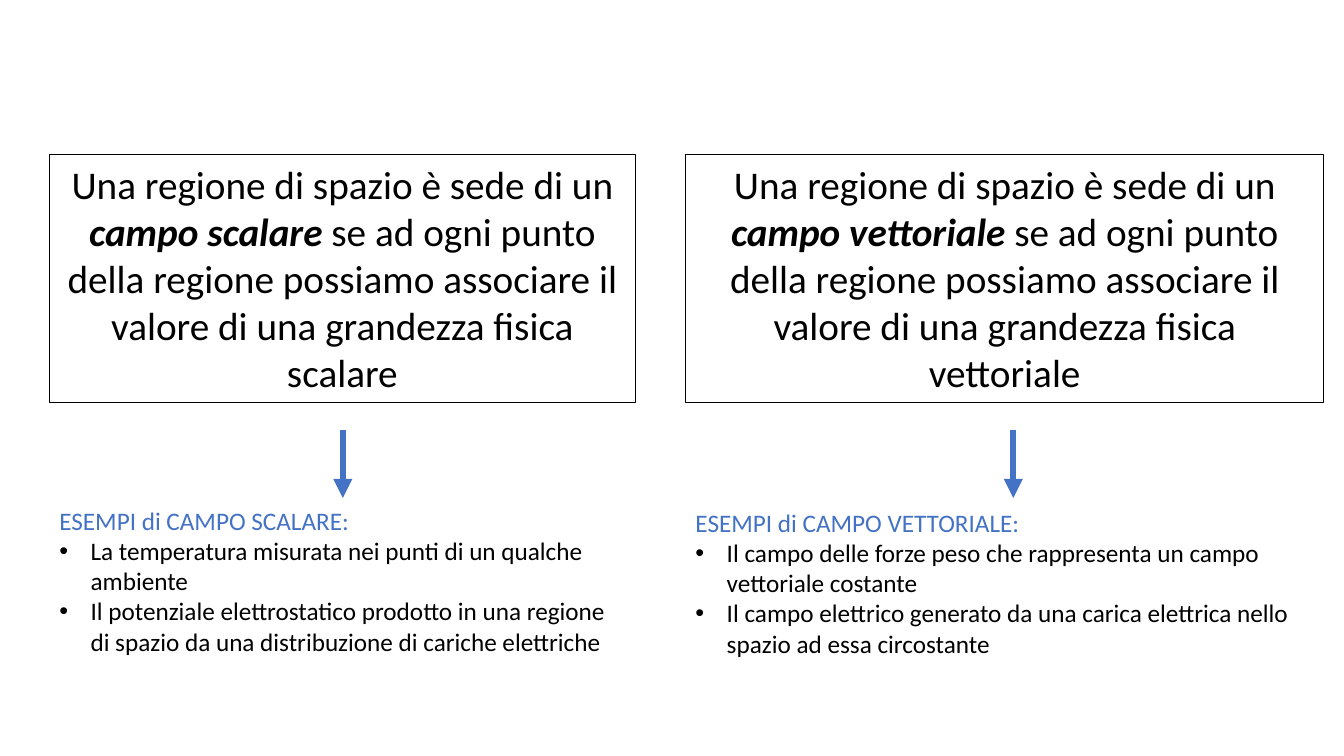
from lxml import etree
from pptx import Presentation
from pptx.dml.color import RGBColor
from pptx.enum.shapes import MSO_CONNECTOR, MSO_SHAPE
from pptx.enum.text import MSO_ANCHOR, PP_ALIGN
from pptx.oxml.ns import qn
from pptx.util import Inches, Pt

BLACK = RGBColor(0x00, 0x00, 0x00)
BLUE = RGBColor(0x44, 0x72, 0xC4)
FONT = "Calibri"
RECT = MSO_SHAPE.RECTANGLE
LINE = MSO_CONNECTOR.STRAIGHT
CENTER = PP_ALIGN.CENTER
MIDDLE = MSO_ANCHOR.MIDDLE


def style(run, size, color):
    run.font.name = FONT
    run.font.size = Pt(size)
    run.font.color.rgb = color


deck = Presentation()
deck.slide_width = Inches(13.33)
deck.slide_height = Inches(7.5)
slide = deck.slides.add_slide(deck.slide_layouts[6])
shapes = slide.shapes

# Kind of field, left, width, arrow x, top of examples, examples
fields = [
    ("scalare", 0.49, 5.81, 3.4, 4.96, [
        "La temperatura misurata nei punti di un qualche ambiente",
        "Il potenziale elettrostatico prodotto in una regione di spazio "
        "da una distribuzione di cariche elettriche"]),
    ("vettoriale", 6.8, 6.33, 10.05, 4.98, [
        "Il campo delle forze peso che rappresenta un campo vettoriale costante",
        "Il campo elettrico generato da una carica elettrica nello spazio "
        "ad essa circostante"]),
]

for kind, left, width, mid, top, items in fields:
    # Definition in a frame
    box = shapes.add_shape(RECT, Inches(left), Inches(1.53), Inches(width), Inches(2.46))
    box.shadow.inherit = False
    box.fill.background()
    box.line.color.rgb = BLACK
    box.line.width = Pt(0.75)
    frame = box.text_frame
    frame.word_wrap = True
    frame.vertical_anchor = MIDDLE
    para = frame.paragraphs[0]
    para.alignment = CENTER
    parts = [
        ("Una regione di spazio è sede di un ", False),
        (f"campo {kind} ", True),
        ("se ad ogni punto della regione possiamo associare il valore "
         f"di una grandezza fisica {kind}", False),
    ]
    for text, strong in parts:
        run = para.add_run()
        run.text = text
        style(run, 28, BLACK)
        run.font.bold = run.font.italic = strong

    # Arrow down to the examples
    arrow = shapes.add_connector(LINE, Inches(mid), Inches(4.27), Inches(mid), Inches(4.94))
    arrow.line.color.rgb = BLUE
    arrow.line.width = Pt(4.5)
    etree.SubElement(arrow.line._get_or_add_ln(), qn("a:tailEnd"), type="triangle")
    etree.SubElement(arrow._element.spPr, qn("a:effectLst"))

    # Heading and bulleted examples
    note = shapes.add_textbox(Inches(left), Inches(top), Inches(width), Inches(1.62))
    frame = note.text_frame
    frame.word_wrap = True
    frame.text = f"ESEMPI di CAMPO {kind.upper()}:"
    style(frame.paragraphs[0].runs[0], 18, BLUE)
    for item in items:
        para = frame.add_paragraph()
        para.text = item
        props = para._p.get_or_add_pPr()
        props.set("marL", str(Inches(0.31)))
        props.set("indent", str(-Inches(0.31)))
        etree.SubElement(props, qn("a:buFont"), typeface="Arial")
        etree.SubElement(props, qn("a:buChar"), char="•")
        style(para.runs[0], 18, BLACK)

deck.save("out.pptx")
